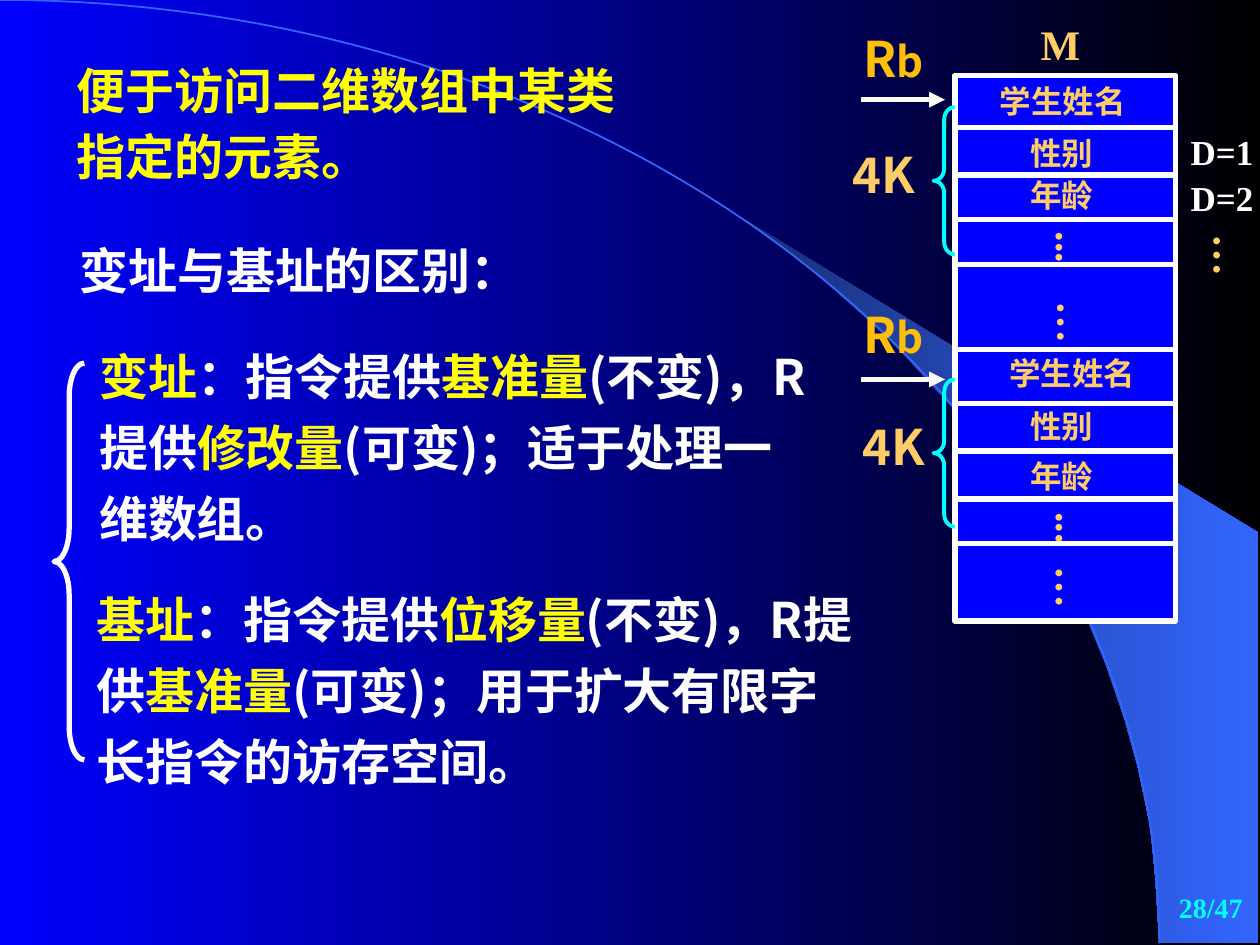
from math import cos, pi, sin

from lxml import etree
from pptx import Presentation
from pptx.dml.color import RGBColor
from pptx.enum.shapes import MSO_CONNECTOR, MSO_SHAPE
from pptx.enum.text import MSO_ANCHOR, MSO_AUTO_SIZE, PP_ALIGN
from pptx.oxml.ns import qn
from pptx.util import Cm, Pt

STRAIGHT = MSO_CONNECTOR.STRAIGHT
RECTANGLE, LEFT_BRACE = MSO_SHAPE.RECTANGLE, MSO_SHAPE.LEFT_BRACE
MIDDLE = MSO_ANCHOR.MIDDLE
GROW, FIXED = MSO_AUTO_SIZE.SHAPE_TO_FIT_TEXT, MSO_AUTO_SIZE.NONE
LEFT, RIGHT = PP_ALIGN.LEFT, PP_ALIGN.RIGHT

BLUE = RGBColor(0x00, 0x00, 0xFF)
BLACK = RGBColor(0x00, 0x00, 0x00)
NAVY = RGBColor(0x18, 0x2F, 0x76)
SKY = RGBColor(0x33, 0x66, 0xFF)
WHITE = RGBColor(0xFF, 0xFF, 0xFF)
OFF_WHITE = RGBColor(0xFD, 0xFB, 0xFB)
YELLOW = RGBColor(0xFF, 0xFF, 0x00)
SAND = RGBColor(0xFF, 0xCC, 0x66)
AMBER = RGBColor(0xFF, 0xBF, 0x09)
CYAN = RGBColor(0x00, 0xFF, 0xFF)
SANS, SERIF = "Noto Sans CJK SC", "Times New Roman"

WEDGE = [(23.37, 19), (25.37, 19.02), (25.37, 10.74), (14.96, 4.39), (15.85, 5.05),
         (16.59, 5.64), (17.4, 6.35), (18.19, 7.11), (19.35, 8.38), (20.4, 9.75),
         (21.13, 10.95), (21.79, 12.17), (22.3, 13.41), (22.68, 14.53),
         (22.94, 15.47), (23.19, 16.66), (23.29, 17.68)]
ARC_STEPS = 90
ARC = [(23.37 * sin(step * pi / 2 / ARC_STEPS), 19.02 * (1 - cos(step * pi / 2 / ARC_STEPS)))
       for step in range(ARC_STEPS + 1)]

MEMORY_LEFT, MEMORY_TOP, MEMORY_WIDTH, MEMORY_HEIGHT = 19.25, 1.52, 4.45, 11
ROW_LINES = [2.57, 3.53, 4.42, 5.33, 7.04, 8.13, 9.09, 10.06, 10.95]


class SlideBuilder:
    def __init__(self, slide):
        self.slide = slide
        self.shapes = slide.shapes

    def gradient(self, fill, colors):
        fill.gradient()
        fill.gradient_angle = 0
        for stop, color in zip(fill.gradient_stops, colors):
            stop.color.rgb = color

    def outline(self, shape, color, width):
        shape.line.color.rgb = color
        shape.line.width = Pt(width)

    def freeform(self, points, close):
        corners = [(Cm(x), Cm(y)) for x, y in points]
        builder = self.shapes.build_freeform(*corners[0])
        builder.add_line_segments(corners[1:], close=close)
        shape = builder.convert_to_shape()
        shape.shadow.inherit = False
        return shape

    def preset(self, kind, left, top, width, height, color, line_width):
        shape = self.shapes.add_shape(kind, Cm(left), Cm(top), Cm(width), Cm(height))
        shape.shadow.inherit = False
        self.outline(shape, color, line_width)
        return shape

    def brace(self, left, top, width, height, color, line_width, curve):
        shape = self.preset(LEFT_BRACE, left, top, width, height, color, line_width)
        shape.fill.background()
        shape.adjustments[0] = curve

    def line(self, left, right, y, color, arrow=False):
        connector = self.shapes.add_connector(STRAIGHT, Cm(left), Cm(y), Cm(right), Cm(y))
        self.outline(connector, color, 3)
        if arrow:
            etree.SubElement(connector.line._get_or_add_ln(), qn("a:tailEnd"), type="triangle")
        etree.SubElement(connector._element.spPr, qn("a:effectLst"))

    def text(self, left, top, width, height, paragraphs, size, color=None, font=SERIF,
             spacing=None, before=0, align=LEFT, vertical=False, fixed=False):
        box = self.shapes.add_textbox(Cm(left), Cm(top), Cm(width), Cm(height))
        frame = box.text_frame
        frame.word_wrap = True
        frame.auto_size = FIXED if fixed else GROW
        if fixed:
            frame.vertical_anchor = MIDDLE
        if vertical:
            frame.margin_left = frame.margin_right = Cm(0.13)
            frame.margin_top = frame.margin_bottom = Cm(0.25)
            frame._txBody.bodyPr.set("vert", "eaVert")
        for index, runs in enumerate(paragraphs):
            paragraph = frame.add_paragraph() if index else frame.paragraphs[0]
            paragraph.alignment = align
            if spacing:
                paragraph.line_spacing = spacing
            if index:
                paragraph.space_before = Pt(before)
            paragraph.font.name = font
            paragraph.font.size = Pt(size)
            paragraph.font.bold = True
            if color is not None:
                paragraph.font.color.rgb = color
            latin = paragraph.font._element.find(qn("a:latin"))
            latin.addnext(latin.makeelement(qn("a:ea"), {"typeface": SANS}))
            for content, run_color, run_size in runs:
                run = paragraph.add_run()
                run.text = content
                if run_color is not None:
                    run.font.color.rgb = run_color
                if run_size:
                    run.font.size = Pt(run_size)

    def label(self, left, top, width, height, content, size, color, **options):
        self.text(left, top, width, height, [[(content, None, None)]], size, color, **options)

    def definition(self, left, top, width, pieces):
        runs = [(content, WHITE if index % 2 else YELLOW, None)
                for index, content in enumerate(pieces)]
        self.text(left, top, width, 4.52, [runs], 28, font=SANS, spacing=1.2)

    def dots(self, left, top, content):
        self.label(left, top, 1.52, 1.47 if content == "..." else 1.27,
                   content, 24, SAND, vertical=True)

    def record(self, register_top, arrow_y, brace_top, size_at, fields):
        self.text(17.15, register_top, 2.34, 1.45,
                  [[("R", None, None), ("b", None, 24)]], 28, AMBER, font=SANS)
        self.line(17.35, 19.05, arrow_y, OFF_WHITE, arrow=True)
        self.brace(18.82, brace_top, 0.43, 2.97, CYAN, 2.25, 0.58)
        self.label(*size_at, 2.32, 1.45, "4K", 28, SAND, font=SANS)
        for left, top, name in fields:
            self.label(left, top, 3.38, 1.02, name, 18, SAND)


def main():
    presentation = Presentation()
    presentation.slide_width, presentation.slide_height = Cm(25.4), Cm(19.05)
    slide = presentation.slides.add_slide(presentation.slide_layouts[6])
    builder = SlideBuilder(slide)

    builder.gradient(slide.background.fill, (BLUE, BLACK))
    wedge = builder.freeform(WEDGE, close=True)
    builder.gradient(wedge.fill, (NAVY, SKY))
    wedge.line.fill.background()
    arc = builder.freeform(ARC, close=False)
    arc.fill.background()
    builder.outline(arc, SKY, 1)

    builder.text(1.3, 1.52, 14.53, 2.31,
                 [[("便于访问二维数组中某类", None, None)], [("指定的元素。", None, None)]],
                 28, YELLOW, font=SANS, spacing=0.6, before=17.5)
    builder.label(1.35, 4.72, 9.53, 1.45, "变址与基址的区别：", 28, WHITE)
    builder.definition(1.75, 6.63, 14.94, [
        "变址", "：指令提供", "基准量", "(不变)，R提供", "修改量",
        "(可变)；适于处理一维数组。"])
    builder.definition(1.7, 11.53, 15.8, [
        "基址", "：指令提供", "位移量", "(不变)，R提供", "基准量",
        "(可变)；用于扩大有限字长指令的访存空间。"])
    builder.brace(1.09, 7.32, 0.61, 8, OFF_WHITE, 3, 1.1)

    memory = builder.preset(RECTANGLE, MEMORY_LEFT, MEMORY_TOP, MEMORY_WIDTH, MEMORY_HEIGHT,
                            WHITE, 3)
    memory.fill.solid()
    memory.fill.fore_color.rgb = BLUE
    for y in ROW_LINES:
        builder.line(MEMORY_LEFT, MEMORY_LEFT + MEMORY_WIDTH, y, WHITE)
    builder.label(20.73, 0.25, 2.53, 1.27, "M", 24, SAND)

    builder.record(0.46, 2.01, 2.16, (16.93, 2.79), [
        (19.9, 1.52, "学生姓名"), (20.52, 2.57, "性别"), (20.52, 3.43, "年龄")])
    builder.record(6.02, 7.65, 7.65, (17.14, 8.28), [
        (20.1, 7.01, "学生姓名"), (20.52, 8.08, "性别"), (20.52, 9.09, "年龄")])
    for left, top, content in [(20.75, 4.42, "..."), (20.75, 10.08, "..."),
                               (20.78, 5.82, "…"), (20.75, 11.18, "…"), (23.93, 4.47, "…")]:
        builder.dots(left, top, content)
    for top, content in [(2.51, "D=1"), (3.43, "D=2")]:
        builder.label(23.75, top, 2.97, 1.12, content, 20, WHITE)
    builder.label(20.02, 17.65, 5.28, 1.27, "28/47", 16, CYAN, align=RIGHT, fixed=True)

    presentation.save("out.pptx")


if __name__ == "__main__":
    main()
